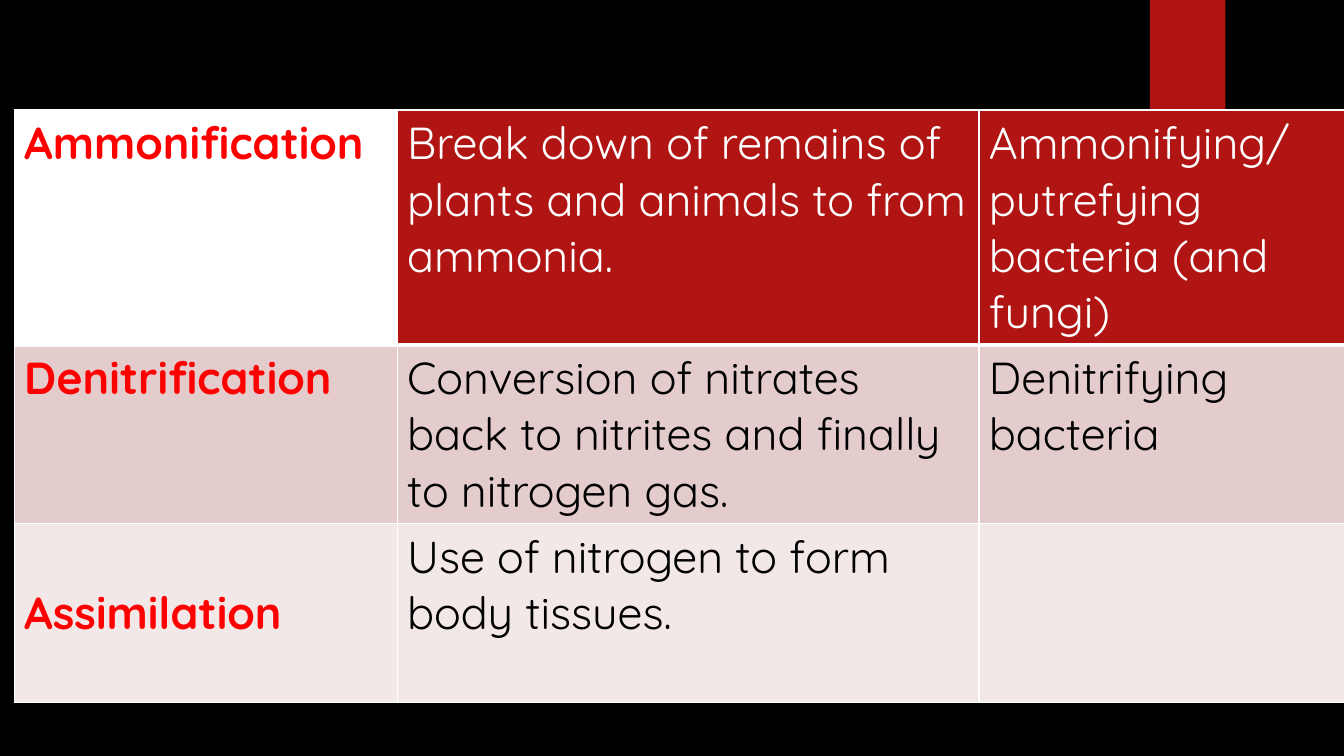
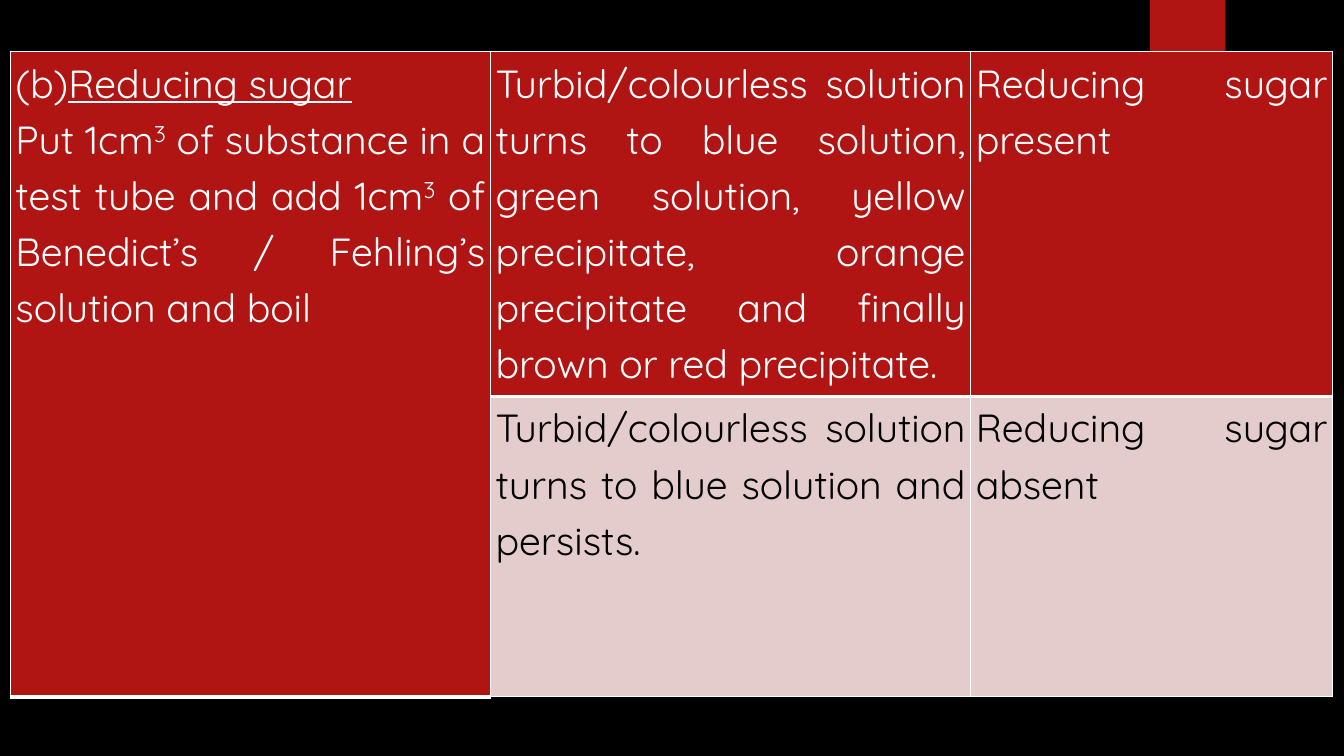
"""Build two black slides, each with a red tab and a biology table."""
from lxml.etree import SubElement
from pptx import Presentation
from pptx.dml.color import RGBColor
from pptx.enum.shapes import MSO_SHAPE as SHAPE
from pptx.enum.text import PP_ALIGN as ALIGN
from pptx.oxml.ns import qn
from pptx.util import Cm, Pt

BLACK, WHITE, RED, TERM = "000000", "FFFFFF", "B01513", "FF0000"
BANDS = [(RED, WHITE), ("E4CCCC", BLACK), ("F2E8E7", BLACK)]
FONT = "Quicksand"
THIN, THICK = 1, 3
SUP = {"sup": True}

NITROGEN = {
    "at": (0.36, 2.77),
    "cols": [9.65, 14.66, 9.22],
    "rows": [5.92, 4.5, 4.52],
    "size": 32,
    "spacing": 1.0,
    "align": ALIGN.LEFT,
    "margins": (0.25, 0.13),
    "text": [
        ["Ammonification",
         "Break down of remains of plants and animals to from ammonia.",
         "Ammonifying/putrefying bacteria (and fungi)"],
        ["Denitrification",
         "Conversion of nitrates back to nitrites and finally to nitrogen gas.",
         "Denitrifying bacteria"],
        ["Assimilation", "Use of nitrogen to form body tissues.", ""],
    ],
}
SUGAR = {
    "at": (0.26, 1.3),
    "cols": [12.1, 12.1, 9.12],
    "rows": [8.69, 7.57],
    "size": 28,
    "spacing": 1.15,
    "align": ALIGN.JUSTIFY,
    "margins": (0.13, 0),
    "text": [
        [[[("(b)", {}), ("Reducing sugar", {"underline": True})],
          [("Put 1cm", {}), ("3", SUP),
           (" of substance in a test tube and add 1cm", {}), ("3", SUP),
           (" of Benedict’s / Fehling’s solution and boil", {})]],
         "Turbid/colourless solution turns to blue solution, green solution, "
         "yellow precipitate, orange precipitate and finally brown or red precipitate.",
         "Reducing sugar present"],
        ["",
         "Turbid/colourless solution turns to blue solution and persists.",
         "Reducing sugar absent"],
    ],
}


def rgb(color):
    return RGBColor.from_string(color)


def add_slide(prs):
    s = prs.slides.add_slide(prs.slide_layouts[6])
    tab = s.shapes.add_shape(SHAPE.RECTANGLE, Cm(28.98), 0, Cm(1.9), Cm(3.18))
    tab.shadow.inherit = False
    tab.fill.solid()
    tab.fill.fore_color.rgb = rgb(RED)
    tab.line.fill.background()
    return s


def set_borders(cell, top, bottom):
    tcPr = cell._tc.get_or_add_tcPr()
    for side, width in (("L", THIN), ("R", THIN), ("T", top), ("B", bottom)):
        ln = SubElement(tcPr, qn("a:ln" + side), w=str(Pt(width)))
        SubElement(SubElement(ln, qn("a:solidFill")), qn("a:srgbClr"), val=WHITE)


def write(cell, content, spec, color, bold):
    paragraphs = [[(content, {})]] if isinstance(content, str) else content
    tf = cell.text_frame
    for i, runs in enumerate(paragraphs):
        p = tf.add_paragraph() if i else tf.paragraphs[0]
        p.alignment, p.line_spacing = spec["align"], spec["spacing"]
        for text, extra in runs:
            r = p.add_run()
            r.text = text
            r.font.color.rgb = rgb(color)
            fmt = {"name": FONT, "size": Pt(spec["size"]), "bold": bold, **extra}
            if fmt.pop("sup", False):
                r._r.get_or_add_rPr().set("baseline", "30000")
            for name, value in fmt.items():
                setattr(r.font, name, value)


def add_table(s, spec, terms=False, merge_first=False):
    cols, rows = spec["cols"], spec["rows"]
    box = [Cm(v) for v in (*spec["at"], sum(cols), sum(rows))]
    table = s.shapes.add_table(len(rows), len(cols), *box).table
    table.first_row = table.horz_banding = False
    for col, width in zip(table.columns, cols):
        col.width = Cm(width)
    for row, height in zip(table.rows, rows):
        row.height = Cm(height)
    if merge_first:
        table.cell(0, 0).merge(table.cell(len(rows) - 1, 0))
    side, edge = (Cm(v) for v in spec["margins"])
    for i, (line, (fill, ink)) in enumerate(zip(spec["text"], BANDS)):
        for j, content in enumerate(line):
            cell = table.cell(i, j)
            is_term = terms and j == 0
            cell.margin_left = cell.margin_right = side
            cell.margin_top = cell.margin_bottom = edge
            set_borders(cell, THICK if i == 1 else THIN,
                        THICK if i == 0 or cell.is_spanned else THIN)
            cell.fill.solid()
            cell.fill.fore_color.rgb = rgb(WHITE if is_term and i == 0 else fill)
            if content:
                write(cell, content, spec, TERM if is_term else ink, is_term)
    return table


def main():
    prs = Presentation()
    prs.slide_width, prs.slide_height = Cm(33.87), Cm(19.05)
    background = prs.slide_master.background.fill
    background.solid()
    background.fore_color.rgb = rgb(BLACK)
    nitrogen = add_table(add_slide(prs), NITROGEN, terms=True)
    nitrogen.cell(2, 0).margin_top = Cm(1.54)
    add_table(add_slide(prs), SUGAR, merge_first=True)
    prs.save("out.pptx")


if __name__ == "__main__":
    main()
